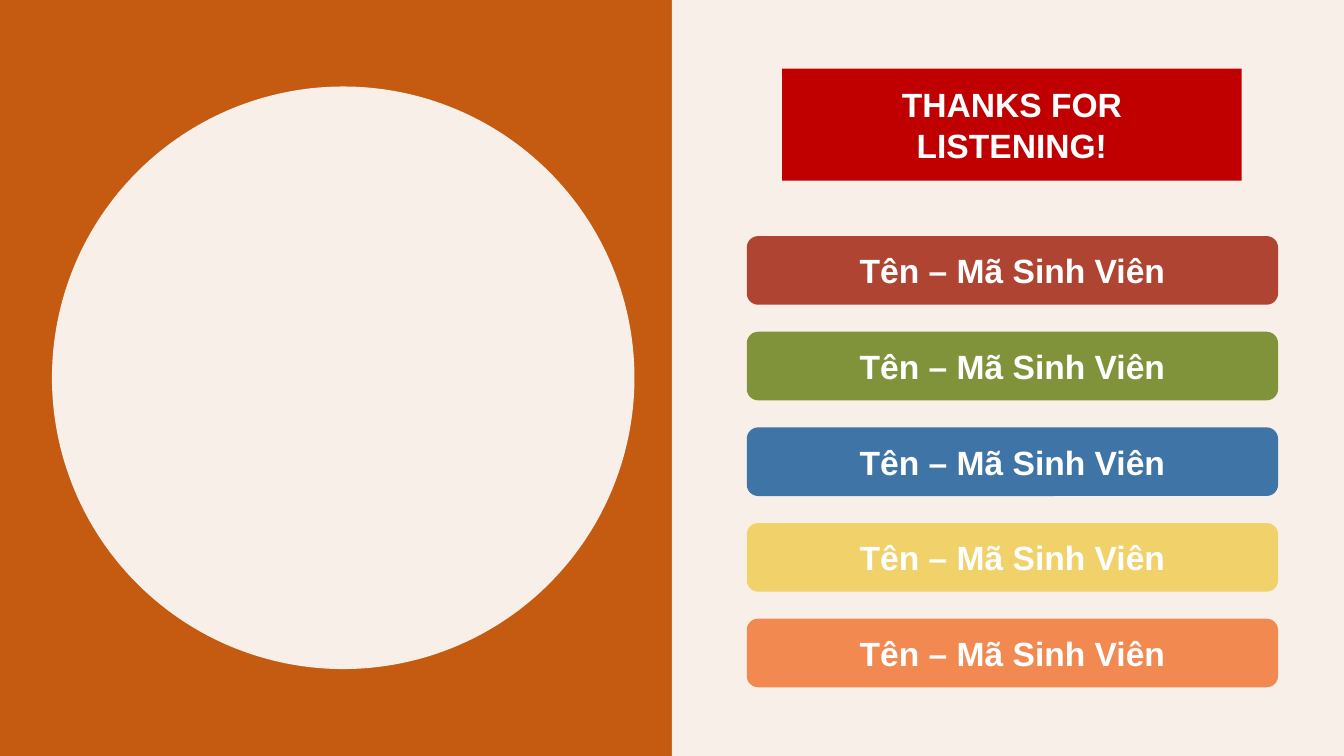
from lxml.etree import SubElement
from pptx import Presentation
from pptx.dml.color import RGBColor
from pptx.enum.shapes import MSO_SHAPE
from pptx.enum.text import MSO_ANCHOR, MSO_AUTO_SIZE, PP_ALIGN
from pptx.oxml.ns import qn
from pptx.util import Cm, Pt

ORANGE = RGBColor(0xC5, 0x5A, 0x11)
CREAM = RGBColor(0xF8, 0xF0, 0xE8)
RED = RGBColor(0xC0, 0x00, 0x00)
WHITE = RGBColor(0xFF, 0xFF, 0xFF)
BAR_COLORS = [
    RGBColor(0xAE, 0x44, 0x31),
    RGBColor(0x81, 0x93, 0x3A),
    RGBColor(0x3E, 0x74, 0xA6),
    RGBColor(0xF1, 0xD1, 0x6A),
    RGBColor(0xF1, 0x89, 0x51),
]

SLIDE_W, SLIDE_H = 33.87, 19.05
BAR_TOP, BAR_PITCH = 5.95, 2.41
FONT = {"name": "Arial", "size": Pt(24), "bold": True}


def fill_shape(sp, color):
    sp.fill.solid()
    sp.fill.fore_color.rgb = color
    sp.line.fill.background()


def add_block(s, kind, left, top, width, height, color):
    sp = s.shapes.add_shape(kind, Cm(left), Cm(top), Cm(width), Cm(height))
    sp.shadow.inherit = False
    fill_shape(sp, color)
    return sp


def set_label(sp, text):
    tf = sp.text_frame
    tf.word_wrap = True
    tf.auto_size = MSO_AUTO_SIZE.NONE
    tf.vertical_anchor = MSO_ANCHOR.MIDDLE
    p = tf.paragraphs[0]
    p.alignment = PP_ALIGN.CENTER
    r = p.add_run()
    r.text = text
    for key, value in FONT.items():
        setattr(r.font, key, value)
    r.font.color.rgb = WHITE


def add_title_pill(s, text):
    sp = s.shapes.title
    s.shapes.element.append(sp.element)  # bring to front
    sp.left, sp.top, sp.width, sp.height = Cm(19.71), Cm(1.73), Cm(11.58), Cm(2.82)
    # Fully rounded outline for the placeholder
    geom = SubElement(sp.element.spPr, qn("a:prstGeom"), prst="roundRect")
    guides = SubElement(geom, qn("a:avLst"))
    SubElement(guides, qn("a:gd"), name="adj", fmla="val 50000")
    fill_shape(sp, RED)
    set_label(sp, text)
    sp.text_frame.margin_left = sp.text_frame.margin_right = Cm(0.6)


def main():
    prs = Presentation()
    prs.slide_width, prs.slide_height = Cm(SLIDE_W), Cm(SLIDE_H)
    s = prs.slides.add_slide(prs.slide_layouts[5])
    s.background.fill.solid()
    s.background.fill.fore_color.rgb = ORANGE

    # Right panel and left circle
    half = SLIDE_W / 2
    add_block(s, MSO_SHAPE.RECTANGLE, half, 0, half, SLIDE_H, CREAM)
    add_block(s, MSO_SHAPE.OVAL, 1.31, 2.18, 14.68, 14.68, CREAM)

    # Student bars
    for i, color in enumerate(BAR_COLORS):
        bar = add_block(s, MSO_SHAPE.ROUNDED_RECTANGLE,
                        18.82, BAR_TOP + i * BAR_PITCH, 13.39, 1.73, color)
        set_label(bar, "Tên – Mã Sinh Viên")

    # Closing title
    add_title_pill(s, "THANKS FOR LISTENING!")
    prs.save("out.pptx")


if __name__ == "__main__":
    main()
